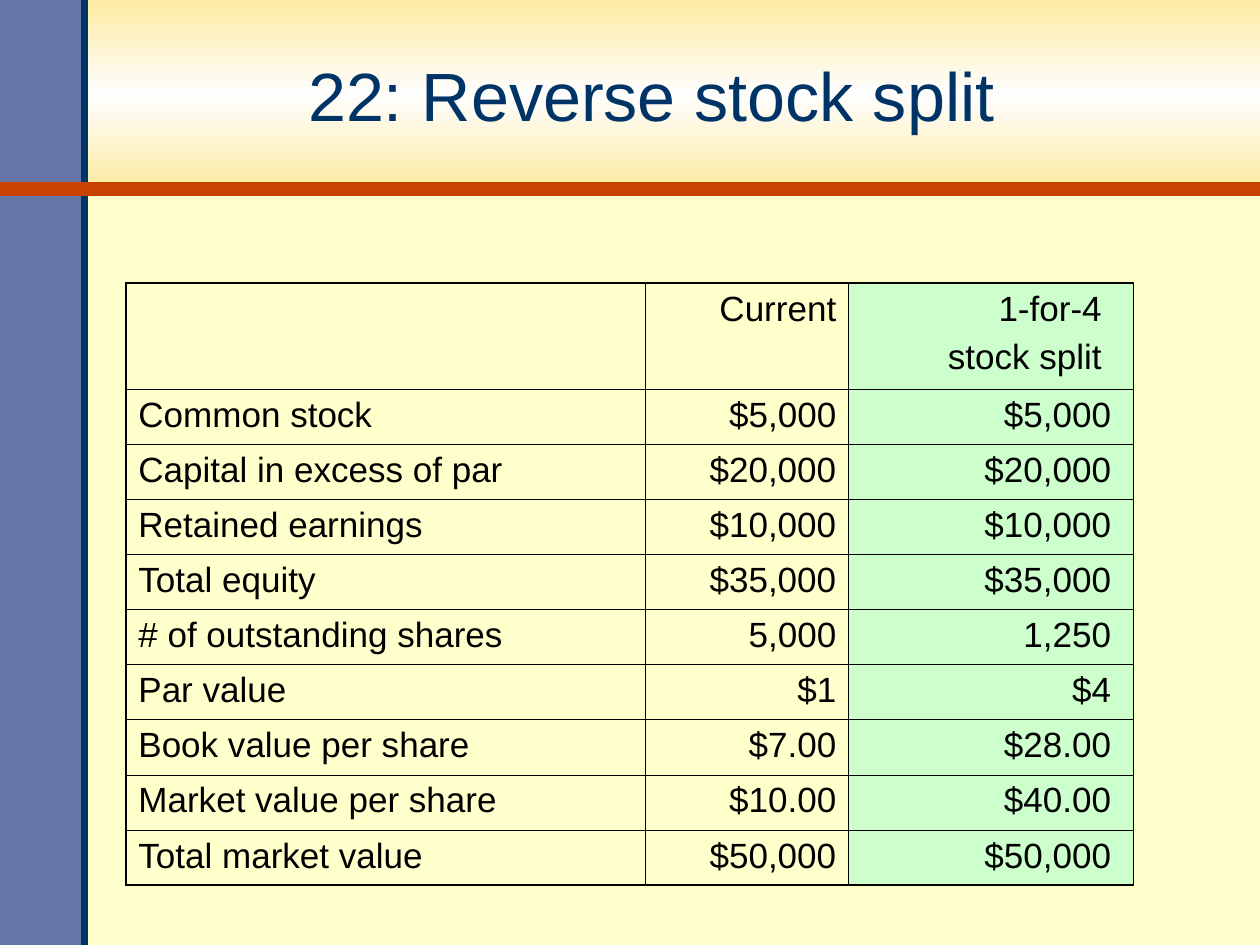
from copy import deepcopy

from lxml import etree
from pptx import Presentation
from pptx import util as u
from pptx.dml.color import RGBColor
from pptx.enum import shapes, text
from pptx.oxml.ns import qn

CREAM = RGBColor(0xFF, 0xFF, 0xCC)
GOLD = RGBColor(0xFD, 0xEB, 0xA1)
WHITE = RGBColor(0xFE, 0xFE, 0xFE)
SLATE = RGBColor(0x64, 0x75, 0xA6)
NAVY = RGBColor(0x00, 0x33, 0x66)
RUST = RGBColor(0xC8, 0x43, 0x00)
MINT = RGBColor(0xCC, 0xFF, 0xCC)
BLACK = RGBColor(0, 0, 0)

LEFT, RIGHT = text.PP_ALIGN.LEFT, text.PP_ALIGN.RIGHT
WIDTH, HEIGHT = u.Cm(25.4), u.Cm(19.05)
SIDE, BAND = u.Cm(1.7), u.Cm(3.81)


def write(tf, content, size=20, color=BLACK, align=LEFT, before=5):
    """Write one paragraph per line of content."""
    for i, line in enumerate(content.split("\n")):
        p = tf.add_paragraph() if i else tf.paragraphs[0]
        p.alignment = align
        p.space_before = u.Pt(before if i else 0)
        r = p.add_run()
        r.text = line
        r.font.name, r.font.size = "Arial", u.Pt(size)
        r.font.color.rgb = color


def set_border(cell, side, width):
    """Draw one black cell border; side is L, R, T or B."""
    ln = etree.SubElement(cell._tc.get_or_add_tcPr(), qn(f"a:ln{side}"), w=str(u.Pt(width)))
    fill = etree.SubElement(ln, qn("a:solidFill"))
    etree.SubElement(fill, qn("a:srgbClr"), val=str(BLACK))


prs = Presentation()
prs.slide_width, prs.slide_height = WIDTH, HEIGHT
s = prs.slides.add_slide(prs.slide_layouts[5])
s.background.fill.solid()
s.background.fill.fore_color.rgb = CREAM

# Header band and side bar
band = s.shapes.add_shape(shapes.MSO_SHAPE.RECTANGLE, 0, 0, WIDTH, BAND)
bar = s.shapes.add_shape(shapes.MSO_SHAPE.RECTANGLE, 0, 0, SIDE, HEIGHT)
for sp in (band, bar):
    sp.shadow.inherit = False
    sp.line.fill.background()
bar.fill.solid()
bar.fill.fore_color.rgb = SLATE
band.fill.gradient()
band.fill.gradient_angle = 90
first = band.fill._xPr.find(".//" + qn("a:gs"))
first.addnext(deepcopy(first))
for stop, position, color in zip(band.fill.gradient_stops, (0, 0.5, 1), (GOLD, WHITE, GOLD)):
    stop.position = position
    stop.color.rgb = color

# Rules beside the bar and under the band
for x1, y1, x2, y2, color, width in (
    (SIDE, HEIGHT, SIDE, 0, NAVY, 4),
    (0, BAND, WIDTH, BAND, RUST, 8),
):
    rule = s.shapes.add_connector(shapes.MSO_CONNECTOR.STRAIGHT, x1, y1, x2, y2)
    rule.line.color.rgb = color
    rule.line.width = u.Pt(width)
    etree.SubElement(rule._element.spPr, qn("a:effectLst"))

# Title, brought in front of the band
title = s.shapes.title
title.left, title.top, title.width, title.height = u.Cm(1.65), u.Cm(0.38), u.Cm(22.96), u.Cm(3.05)
title.text_frame.vertical_anchor = text.MSO_ANCHOR.MIDDLE
write(title.text_frame, "22: Reverse stock split", size=39, color=NAVY, align=text.PP_ALIGN.CENTER)
s.shapes._spTree.append(title._element)

# Equity table
ROWS = [
    ("", "Current", "1-for-4\nstock split"),
    ("Common stock", "$5,000", "$5,000"),
    ("Capital in excess of par", "$20,000", "$20,000"),
    ("Retained earnings", "$10,000", "$10,000"),
    ("Total equity", "$35,000", "$35,000"),
    ("# of outstanding shares", "5,000", "1,250"),
    ("Par value", "$1", "$4"),
    ("Book value per share", "$7.00", "$28.00"),
    ("Market value per share", "$10.00", "$40.00"),
    ("Total market value", "$50,000", "$50,000"),
]
COLUMNS = (10.46, 4.11, 5.74)
HEAD_ROW, BODY_ROW = 2.14, 1.11
last_row, last_col = len(ROWS) - 1, len(COLUMNS) - 1
table = s.shapes.add_table(
    len(ROWS), len(COLUMNS), u.Cm(2.54), u.Cm(5.71),
    u.Cm(sum(COLUMNS)), u.Cm(HEAD_ROW + BODY_ROW * last_row)).table
for column, width in zip(table.columns, COLUMNS):
    column.width = u.Cm(width)

for i, values in enumerate(ROWS):
    table.rows[i].height = u.Cm(BODY_ROW if i else HEAD_ROW)
    for j, value in enumerate(values):
        cell = table.cell(i, j)
        cell.margin_left = cell.margin_right = u.Cm(0.25)
        cell.margin_top = cell.margin_bottom = u.Cm(0.13)
        if i and j == last_col:
            cell.margin_right = u.Cm(0.45)
        if value:
            write(cell.text_frame, value, align=RIGHT if j else LEFT)
        # The outer frame is heavier than the inner grid
        for side, outer in (("L", j == 0), ("R", j == last_col), ("T", i == 0), ("B", i == last_row)):
            set_border(cell, side, 1.08 if outer else 0.45)
        if j == last_col:
            cell.fill.solid()
            cell.fill.fore_color.rgb = MINT
        else:
            cell.fill.background()

# The first header line is set in from the right edge
split_head = table.cell(0, last_col).text_frame.paragraphs[0]
split_head._p.get_or_add_pPr().set("marR", str(u.Cm(0.39)))

prs.save("out.pptx")
